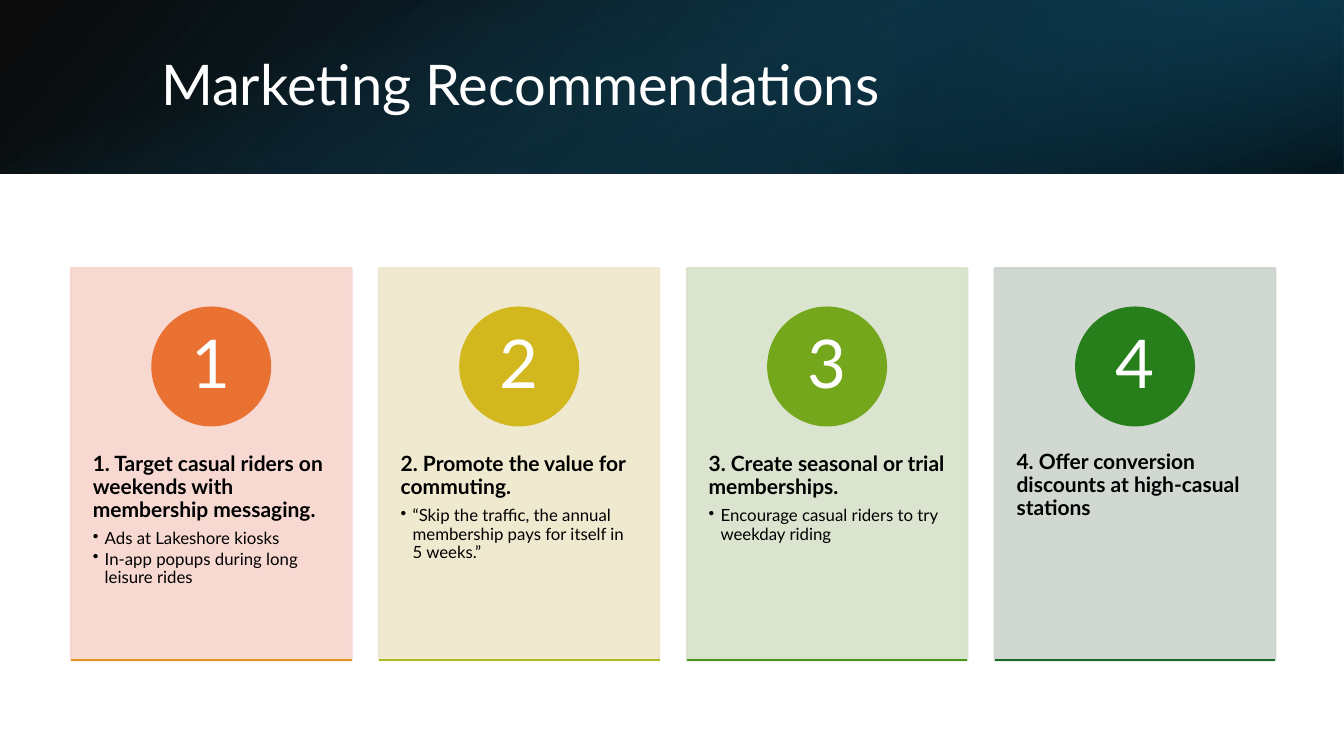
from dataclasses import dataclass

from lxml import etree
from pptx import Presentation
from pptx.dml.color import RGBColor
from pptx.enum.shapes import MSO_CONNECTOR, MSO_SHAPE
from pptx.enum.text import MSO_ANCHOR, PP_ALIGN
from pptx.oxml import parse_xml
from pptx.oxml.ns import nsdecls, qn
from pptx.util import Cm, Pt

RECTANGLE, OVAL = MSO_SHAPE.RECTANGLE, MSO_SHAPE.OVAL
STRAIGHT = MSO_CONNECTOR.STRAIGHT
MIDDLE, TOP = MSO_ANCHOR.MIDDLE, MSO_ANCHOR.TOP
LEFT, CENTER = PP_ALIGN.LEFT, PP_ALIGN.CENTER

FONT = "Lato"
COLORS = {
    "black": "000000", "white": "FFFFFF", "blue": "156082",
    "deep blue": "104862", "night blue": "0B3041",
    "pink": "F7D5CE", "orange": "E97132", "amber": "E49622",
    "cream": "EEE7CB", "gold": "D2B81E", "olive": "ABBC1E",
    "pale green": "D8E2CA", "lime": "75A71D", "leaf": "49931D",
    "grey green": "CCD4CD", "green": "277F1B", "forest": "196B24",
}

PAGE_WIDTH, PAGE_HEIGHT, HEADER_HEIGHT = 33.87, 19.05, 4.37
CARD_LEFT, CARD_TOP, CARD_WIDTH, CARD_HEIGHT = 1.79, 6.76, 7.07, 9.88
CARD_PITCH = 7.76
CIRCLE_TOP, CIRCLE_SIZE = 7.75, 2.97
TEXT_TOP, TEXT_HEIGHT = 10.52, 5.92


@dataclass(frozen=True)
class Stop:
    position: int
    color: str
    opacity: int


@dataclass(frozen=True)
class HeaderLayer:
    left: float
    top: float
    width: float
    height: float
    angle: int
    stops: tuple[Stop, ...]
    rotation: int = 0
    flipped: bool = False


@dataclass(frozen=True)
class Card:
    heading: str
    bullets: tuple[str, ...]
    panel: str
    circle: str
    rule: str


# The last layer is a tall shape turned by 90 degrees about the header's centre.
HEADER_LAYERS = (
    HeaderLayer(0, 0, PAGE_WIDTH, HEADER_HEIGHT, 140,
                (Stop(0, "black", 96), Stop(100, "deep blue", 100)), flipped=True),
    HeaderLayer(22.58, 0, 11.29, HEADER_HEIGHT, 320,
                (Stop(19, "night blue", 68), Stop(100, "blue", 79)),
                rotation=180, flipped=True),
    HeaderLayer((PAGE_WIDTH - HEADER_HEIGHT) / 2, (HEADER_HEIGHT - PAGE_WIDTH) / 2,
                HEADER_HEIGHT, PAGE_WIDTH, 340,
                (Stop(23, "blue", 0), Stop(99, "black", 74)), rotation=90),
)

CARDS = (
    Card("1. Target casual riders on weekends with membership messaging.",
         ("Ads at Lakeshore kiosks", "In-app popups during long leisure rides"),
         "pink", "orange", "amber"),
    Card("2. Promote the value for commuting.",
         ("“Skip the traffic, the annual membership pays for itself in 5 weeks.”",),
         "cream", "gold", "olive"),
    Card("3. Create seasonal or trial memberships.",
         ("Encourage casual riders to try weekday riding",),
         "pale green", "lime", "leaf"),
    Card("4. Offer conversion discounts at high-casual stations", (),
         "grey green", "green", "forest"),
)


def rgb(name: str) -> RGBColor:
    return RGBColor.from_string(COLORS[name])


def write(para, text: str, *, size: float, color: str = "black", bold: bool = False,
          align=LEFT, after: float = 0, bullet: bool = False) -> None:
    para.alignment = align
    para.line_spacing = 0.9
    para.space_after = Pt(after)
    if bullet:
        para.level = 1
        properties = para._p.get_or_add_pPr()
        properties.set("marL", str(Cm(0.3)))
        properties.set("indent", str(Cm(-0.3)))
        etree.SubElement(properties, qn("a:buChar")).set("char", "•")
    span = para.add_run()
    span.text = text
    span.font.name = FONT
    span.font.size = Pt(size)
    span.font.bold = bold
    span.font.color.rgb = rgb(color)


def set_frame(frame, anchor, side: float, end: float) -> None:
    frame.word_wrap = True
    frame.vertical_anchor = anchor
    frame.margin_left = frame.margin_right = Cm(side)
    frame.margin_top = frame.margin_bottom = Cm(end)


def add_solid(page, kind, left: float, top: float, width: float, height: float,
              color: str, opacity: int = 100):
    shape = page.shapes.add_shape(kind, Cm(left), Cm(top), Cm(width), Cm(height))
    shape.shadow.inherit = False
    shape.fill.solid()
    shape.fill.fore_color.rgb = rgb(color)
    shape.line.color.rgb = rgb(color)
    shape.line.width = Pt(1.5)
    if opacity < 100:
        for tint in shape._element.spPr.iter(qn("a:srgbClr")):
            etree.SubElement(tint, qn("a:alpha")).set("val", str(opacity * 1000))
    return shape


def add_header_layer(page, layer: HeaderLayer) -> None:
    shape = page.shapes.add_shape(RECTANGLE, Cm(layer.left), Cm(layer.top),
                                  Cm(layer.width), Cm(layer.height))
    shape.shadow.inherit = False
    shape.line.fill.background()
    shape.rotation = layer.rotation
    properties = shape._element.spPr
    if layer.flipped:
        properties.get_or_add_xfrm().set("flipH", "1")
    stops = "".join(
        f'<a:gs pos="{stop.position * 1000}"><a:srgbClr val="{COLORS[stop.color]}">'
        f'<a:alpha val="{stop.opacity * 1000}"/></a:srgbClr></a:gs>'
        for stop in layer.stops)
    gradient = parse_xml(
        f'<a:gradFill rotWithShape="1" {nsdecls("a")}><a:gsLst>{stops}</a:gsLst>'
        f'<a:lin ang="{layer.angle * 60000}" scaled="0"/></a:gradFill>')
    properties.find(qn("a:prstGeom")).addnext(gradient)


def add_title(page, text: str) -> None:
    title = page.shapes.title
    title.left, title.top, title.width, title.height = Cm(3.81), Cm(0.97), Cm(27.89), Cm(2.44)
    set_frame(title.text_frame, MIDDLE, 0.25, 0.13)
    write(title.text_frame.paragraphs[0], text, size=40, color="white")
    page.shapes._spTree.append(title._element)  # in front of the header


def add_rule(page, left: float, color: str) -> None:
    bottom = Cm(CARD_TOP + CARD_HEIGHT)
    rule = page.shapes.add_connector(STRAIGHT, Cm(left), bottom,
                                     Cm(left + CARD_WIDTH), bottom)
    rule.line.color.rgb = rgb(color)
    rule.line.width = Pt(1.5)
    etree.SubElement(rule._element.spPr, qn("a:effectLst"))


def add_card(page, number: int, card: Card) -> None:
    left = CARD_LEFT + (number - 1) * CARD_PITCH
    add_solid(page, RECTANGLE, left, CARD_TOP, CARD_WIDTH, CARD_HEIGHT, card.panel, 90)

    box = page.shapes.add_textbox(Cm(left), Cm(TEXT_TOP), Cm(CARD_WIDTH), Cm(TEXT_HEIGHT))
    frame = box.text_frame
    set_frame(frame, TOP, 0.55, 0.91)
    write(frame.paragraphs[0], card.heading, size=15, bold=True, after=6)
    for bullet in card.bullets:
        write(frame.add_paragraph(), bullet, size=12, after=1.8, bullet=True)

    circle = add_solid(page, OVAL, left + (CARD_WIDTH - CIRCLE_SIZE) / 2, CIRCLE_TOP,
                       CIRCLE_SIZE, CIRCLE_SIZE, card.circle)
    set_frame(circle.text_frame, MIDDLE, 0.23, 0.03)
    write(circle.text_frame.paragraphs[0], str(number), size=48, color="white", align=CENTER)
    add_rule(page, left, card.rule)


def main() -> None:
    deck = Presentation()
    deck.slide_width, deck.slide_height = Cm(PAGE_WIDTH), Cm(PAGE_HEIGHT)
    page = deck.slides.add_slide(deck.slide_layouts.get_by_name("Title Only"))
    for layer in HEADER_LAYERS:
        add_header_layer(page, layer)
    add_title(page, "Marketing Recommendations")
    for number, card in enumerate(CARDS, start=1):
        add_card(page, number, card)
    deck.save("out.pptx")


if __name__ == "__main__":
    main()
